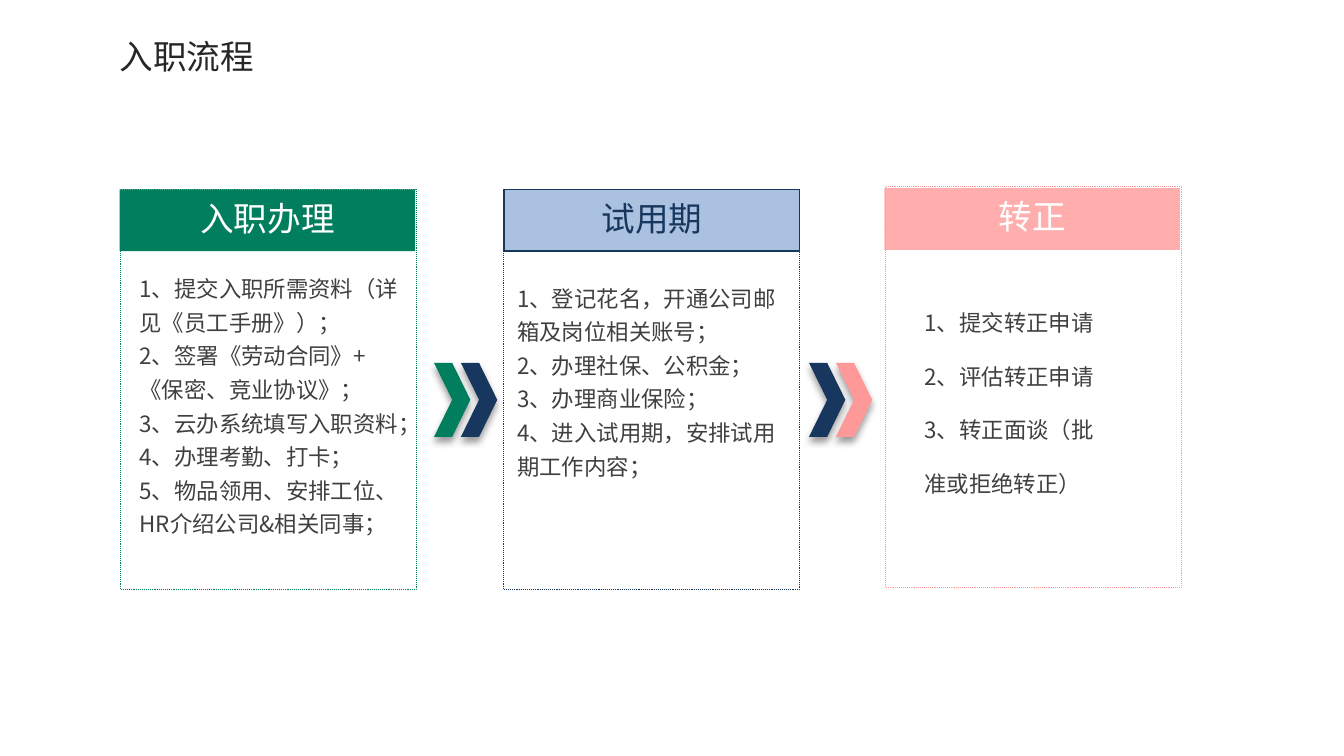
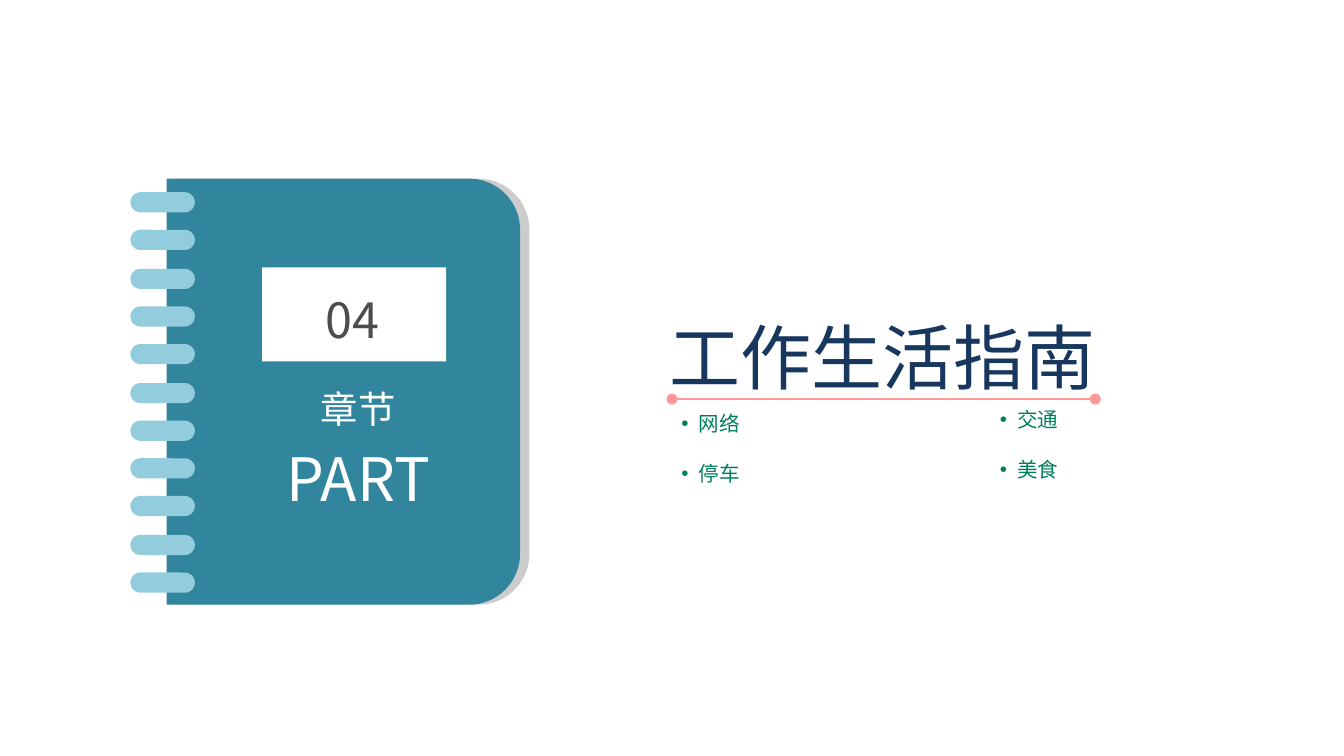
from dataclasses import dataclass
from math import cos, pi, sin

from lxml.etree import SubElement
from pptx import Presentation
from pptx.dml.color import RGBColor
from pptx.enum.dml import MSO_LINE
from pptx.enum.shapes import MSO_CONNECTOR, MSO_SHAPE
from pptx.enum.text import MSO_ANCHOR, MSO_AUTO_SIZE, PP_ALIGN
from pptx.oxml.ns import qn
from pptx.util import Inches, Pt

PX = 9144


@dataclass(frozen=True)
class Theme:
    green: str = "007E5D"
    navy: str = "17375E"
    pink: str = "FF9999"
    blue: str = "95B3D7"
    teal: str = "31859C"
    ring: str = "93CDDD"
    shade: str = "CCCCCC"
    white: str = "FFFFFF"
    black: str = "000000"
    title: str = "262626"
    body: str = "404040"
    number: str = "4D4D4D"
    cjk: str = "Noto Sans CJK SC"
    latin: str = "Arial"
    bullet_size: int = 11
    body_size: int = 12
    title_size: int = 18
    label_size: int = 20
    number_size: int = 26
    part_size: int = 32
    chapter_size: int = 38


T = Theme()


@dataclass(frozen=True)
class Stage:
    name: str
    panel: tuple
    header: tuple
    fill: str
    alpha: int
    color: str
    border: str
    edge: str
    text_box: tuple
    spacing: float
    right: int
    steps: tuple


STAGES = (
    Stage("入职办理", (90, 141), (89, 141), T.green, 100, T.white, T.green, "",
          (94, 195, 217, 210), 1.25, 10,
          ("1、提交入职所需资料（详见《员工手册》）；",
           "2、签署《劳动合同》+《保密、竞业协议》；",
           "3、云办系统填写入职资料；",
           "4、办理考勤、打卡；",
           "5、物品领用、安排工位、HR介绍公司&相关同事；")),
    Stage("试用期", (375, 141), (375, 141), T.blue, 80, T.navy, T.navy, T.navy,
          (375, 202, 220, 187), 1.25, 10,
          ("1、登记花名，开通公司邮箱及岗位相关账号；",
           "2、办理社保、公积金；",
           "3、办理商业保险；",
           "4、进入试用期，安排试用期工作内容；")),
    Stage("转正", (659, 139), (658, 140), T.pink, 80, T.white, T.pink, "",
          (678, 205, 192, 206), 2.0, 40,
          ("1、提交转正申请",
           "2、评估转正申请",
           "3、转正面谈（批准或拒绝转正）")),
)


def rgb(color):
    return RGBColor.from_string(color)


def emu(*lengths):
    return [v * PX for v in lengths]


def paint(sp, fill="", line="", width=0.5, alpha=100):
    sp.shadow.inherit = False
    if fill:
        sp.fill.solid()
        sp.fill.fore_color.rgb = rgb(fill)
        if alpha < 100:
            clr = sp.fill._xPr.find(qn("a:solidFill"))[0]
            SubElement(clr, qn("a:alpha"), val=str(alpha * 1000))
    else:
        sp.fill.background()
    if line:
        sp.line.color.rgb = rgb(line)
        sp.line.width = Pt(width)
    else:
        sp.line.fill.background()
    return sp


def add_box(s, kind, box, **style):
    return paint(s.shapes.add_shape(kind, *emu(*box)), **style)


def style_text(p, text, size, color, font=T.cjk, align=None, spacing=None,
               before=None, after=None):
    p.text = text
    p.font.size = Pt(size)
    p.font.name = font
    p.font.color.rgb = rgb(color)
    SubElement(p.font._element, qn("a:ea"), typeface=T.cjk)
    p.alignment = align
    p.line_spacing = spacing
    p.space_before = before
    p.space_after = after


def add_text(s, box, insets=(10, 5, 10, 5), wrap=True):
    tf = s.shapes.add_textbox(*emu(*box)).text_frame
    tf.word_wrap = wrap
    tf.auto_size = MSO_AUTO_SIZE.SHAPE_TO_FIT_TEXT
    (tf.margin_left, tf.margin_top,
     tf.margin_right, tf.margin_bottom) = emu(*insets)
    return tf


def add_lines(tf, lines, *args, **style):
    for i, line in enumerate(lines):
        p = tf.add_paragraph() if i else tf.paragraphs[0]
        style_text(p, line, *args, **style)


def add_chevron(s, x, color):
    sp = add_box(s, MSO_SHAPE.CHEVRON, (x, 270, 27, 55), fill=color)
    effects = sp._element.spPr.find(qn("a:effectLst"))
    shadow = SubElement(effects, qn("a:outerShdw"), blurRad=str(Pt(4)),
                        dist=str(Pt(3)), dir="5400000", rotWithShape="0")
    clr = SubElement(shadow, qn("a:srgbClr"), val=T.black)
    SubElement(clr, qn("a:alpha"), val="40000")


def add_stage(s, stage):
    panel = add_box(s, MSO_SHAPE.RECTANGLE, (*stage.panel, 220, 298),
                    line=stage.border)
    panel.line.dash_style = MSO_LINE.ROUND_DOT
    tf = add_text(s, stage.text_box, (10, 5, stage.right, 5))
    add_lines(tf, stage.steps, T.body_size, T.body, spacing=stage.spacing)
    header = add_box(s, MSO_SHAPE.RECTANGLE, (*stage.header, 220, 46),
                     fill=stage.fill, alpha=stage.alpha, line=stage.edge,
                     width=0.75)
    header.text_frame.vertical_anchor = MSO_ANCHOR.MIDDLE
    style_text(header.text_frame.paragraphs[0], stage.name, T.title_size,
               stage.color, align=PP_ALIGN.CENTER, spacing=0.9, after=Pt(6))


def add_cover(s, x, color, y=133, w=263, h=317, radius=38, steps=16):
    def corner(cy, start):
        cx = x + w - radius
        angles = [start + pi / 2 * i / steps for i in range(steps + 1)]
        return [emu(cx + radius * cos(a), cy + radius * sin(a))
                for a in angles]

    points = (corner(y + radius, -pi / 2) + corner(y + h - radius, 0)
              + [emu(x, y + h)])
    builder = s.shapes.build_freeform(*emu(x, y))
    builder.add_line_segments(points, close=True)
    paint(builder.convert_to_shape(), fill=color)


def add_notebook(s):
    add_cover(s, 131, T.shade)
    add_cover(s, 124, T.teal)
    add_box(s, MSO_SHAPE.RECTANGLE, (195, 199, 137, 70), fill=T.white)
    for i in range(11):
        ring = add_box(s, MSO_SHAPE.ROUNDED_RECTANGLE,
                       (97, 143 + round(28.3 * i), 48, 15), fill=T.ring)
        ring.adjustments[0] = 0.5
    center = PP_ALIGN.CENTER
    tf = add_text(s, (198, 216, 129, 44), (0, 0, 0, 0))
    style_text(tf.paragraphs[0], "04", T.number_size, T.number,
               align=center, before=Pt(5))
    tf = add_text(s, (205, 287, 123, 98), (0, 0, 0, 0))
    style_text(tf.paragraphs[0], "章节", T.label_size, T.white,
               align=center, before=Pt(4))
    style_text(tf.add_paragraph(), "PART", T.part_size, T.white,
               align=center, before=Pt(6))


def add_rule(s, x1, x2, y):
    line = s.shapes.add_connector(MSO_CONNECTOR.STRAIGHT, *emu(x1, y, x2, y))
    line.line.color.rgb = rgb(T.pink)
    line.line.width = Pt(1)
    ln = line.line._get_or_add_ln()
    for end in ("a:headEnd", "a:tailEnd"):
        SubElement(ln, qn(end), type="oval")
    SubElement(line._element.spPr, qn("a:effectLst"))


def add_bullet(s, x, y, w, text, wrap):
    p = add_text(s, (x, y, w, 26), (7, 4, 7, 4), wrap).paragraphs[0]
    style_text(p, text, T.bullet_size, T.green, font=T.latin)
    p.level = 1
    pPr = p._p.get_or_add_pPr()
    pPr.set("marL", str(13 * PX))
    pPr.set("indent", str(-13 * PX))
    for tag, attrs in (("a:buFont", {"typeface": T.latin}),
                       ("a:buChar", {"char": "•"})):
        p.font._element.addprevious(pPr.makeelement(qn(tag), attrs))


def build_process(s):
    for stage in STAGES:
        add_stage(s, stage)
    for x, colors in ((323, (T.green, T.navy)), (602, (T.navy, T.pink))):
        for i, color in enumerate(colors):
            add_chevron(s, x + 20 * i, color)
    tf = add_text(s, (79, 22, 121, 40), wrap=False)
    style_text(tf.paragraphs[0], "入职流程", T.title_size, T.title)


def build_chapter(s):
    add_rule(s, 500, 815, 297)
    tf = add_text(s, (483, 233, 348, 64), (0, 0, 0, 0))
    style_text(tf.paragraphs[0], "工作生活指南", T.chapter_size, T.navy,
               font=T.latin, align=PP_ALIGN.CENTER)
    for x, y, w, topics in ((500, 302, 114, ("网络", "停车")),
                            (737, 299, 155, ("交通", "美食"))):
        add_bullet(s, x, y, w, topics[0], True)
        add_bullet(s, x, y + 37, 59, topics[1], False)
    add_notebook(s)


def main():
    prs = Presentation()
    prs.slide_width = Inches(10)
    prs.slide_height = prs.slide_width * 9 // 16
    for build in (build_process, build_chapter):
        build(prs.slides.add_slide(prs.slide_layouts[6]))
    prs.save("out.pptx")


if __name__ == "__main__":
    main()
